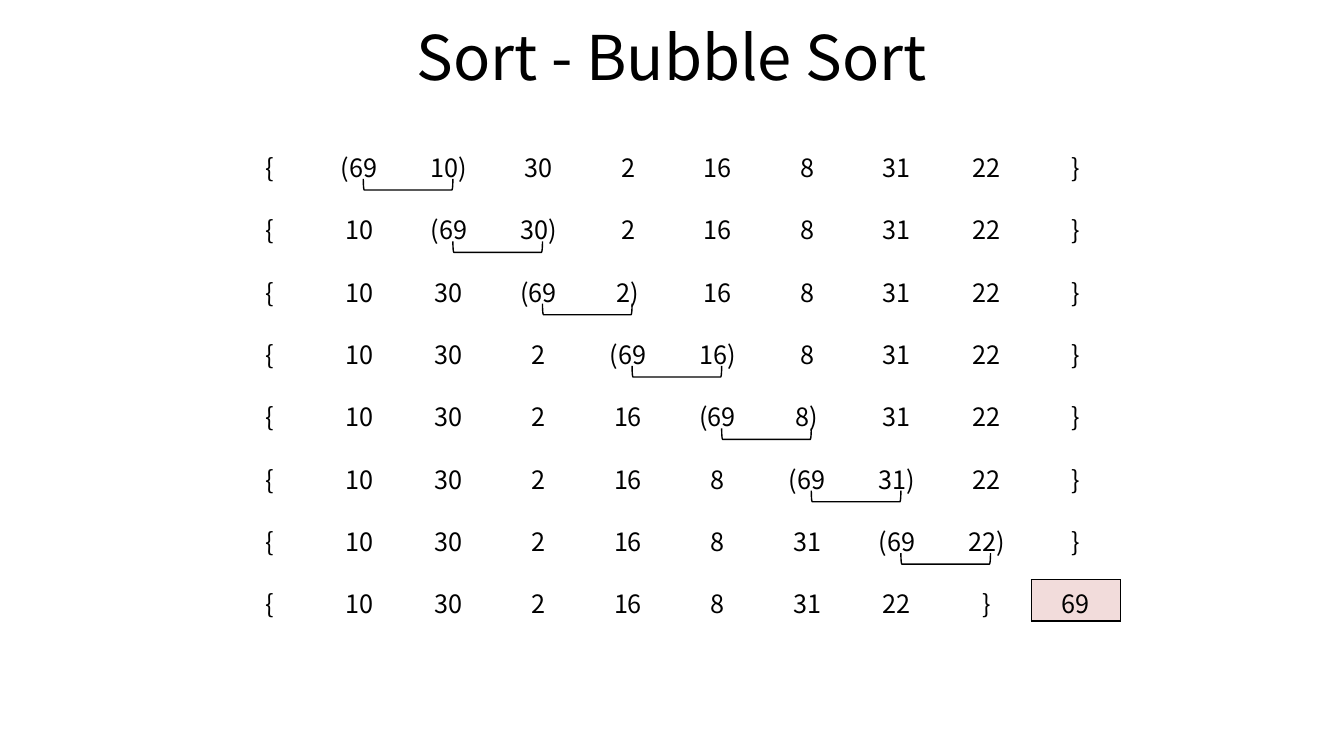
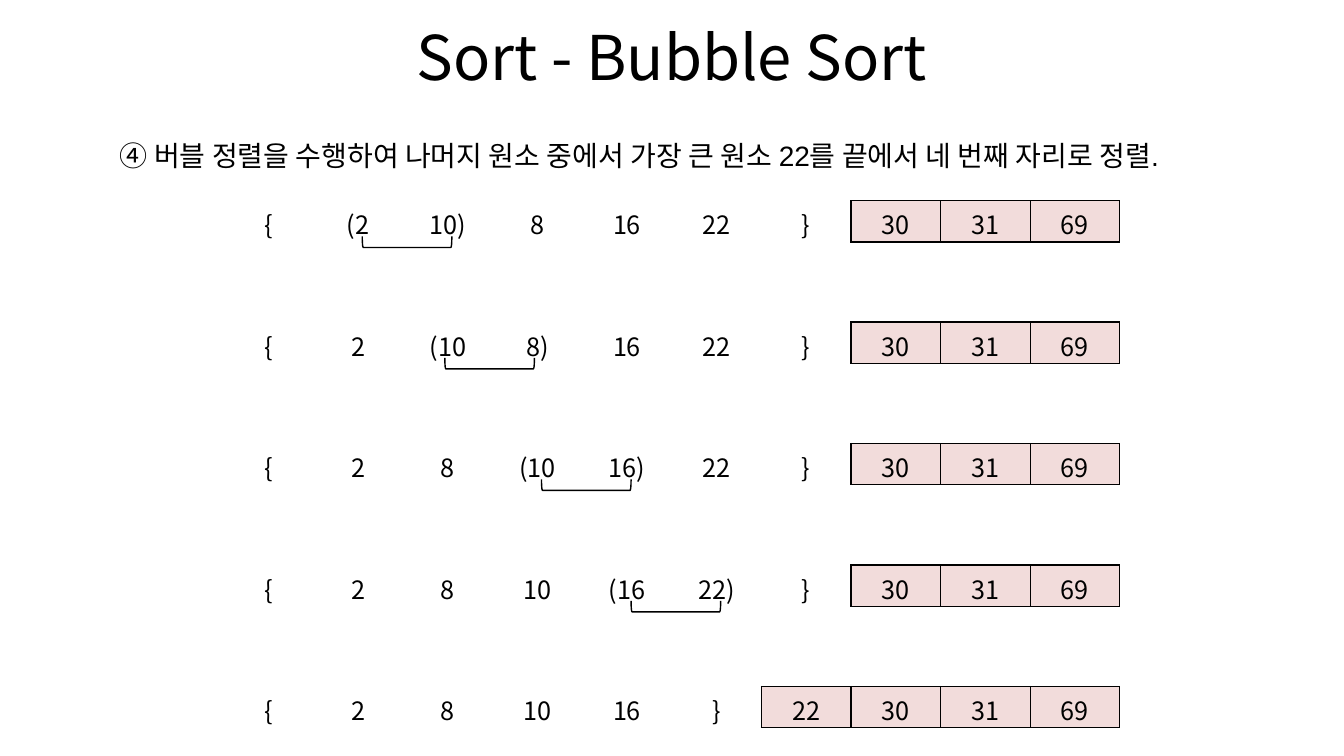
import pptx
import pptx.dml.color
import pptx.enum.shapes
import pptx.enum.text
import pptx.oxml
import pptx.oxml.ns
import pptx.util

Inches = pptx.util.Inches
Pt = pptx.util.Pt
ALIGN = pptx.enum.text.PP_ALIGN
ANCHOR = pptx.enum.text.MSO_ANCHOR

BLACK = pptx.dml.color.RGBColor(0x00, 0x00, 0x00)
WHITE = pptx.dml.color.RGBColor(0xFF, 0xFF, 0xFF)
PINK = pptx.dml.color.RGBColor(0xF2, 0xDC, 0xDB)
SANS = "Noto Sans CJK KR"
LATIN = "Arial"

WIDTH, HEIGHT = 13.33, 7.5
COLS = 10
TABLE = WIDTH * 2 / 3
COL = TABLE / COLS
ROW = 0.41
HOOK = 0.11  # depth of a bracket
SHIFT = 0.04  # bracket centre, right of the column edge


def write(para, text, size, font=SANS):
    run = para.add_run()
    run.text = text
    run.font.size = Pt(size)
    run.font.name = font
    run.font.color.rgb = BLACK
    face = pptx.oxml.parse_xml(
        f'<a:ea {pptx.oxml.ns.nsdecls("a")} typeface="{SANS}"/>')
    run.font._element.append(face)


def add_text(slide, left, top, width, height):
    """Add an empty wrapping text box and return its frame."""
    frame = slide.shapes.add_textbox(
        Inches(left), Inches(top), Inches(width), Inches(height)).text_frame
    frame.word_wrap = True
    return frame


def add_title(slide, text):
    frame = add_text(slide, WIDTH * 0.05, 0.13, WIDTH * 0.9, 0.85)
    frame.vertical_anchor = ANCHOR.MIDDLE
    frame.paragraphs[0].alignment = ALIGN.CENTER
    write(frame.paragraphs[0], text, 44)


def add_note(slide, text):
    para = add_text(slide, 0.4, 1.33, 12.39, 0.44).paragraphs[0]
    props = para._p.get_or_add_pPr()
    props.set("marL", str(Inches(0.99)))
    props.set("indent", str(Inches(-0.3)))
    write(para, text, 20, LATIN)


def add_edges(cell, sides):
    """Draw black borders on the named sides, before any fill is set."""
    for side in sides:
        cell._tc.get_or_add_tcPr().append(pptx.oxml.parse_xml(
            f'<a:ln{side} {pptx.oxml.ns.nsdecls("a")} w="{Pt(1)}">'
            f'<a:solidFill><a:srgbClr val="{BLACK}"/></a:solidFill>'
            f'</a:ln{side}>'))


def add_row(slide, left, top, labels, done):
    """Add one state of the list; the last `done` cells are sorted."""
    table = slide.shapes.add_table(
        1, COLS, Inches(left), Inches(top), Inches(TABLE), Inches(ROW)).table
    table.first_row = table.horz_banding = False
    first = COLS - done
    for i, label in enumerate(labels):
        cell = table.cell(0, i)
        if i >= first:
            add_edges(cell, "LRTB")
        elif done and i == first - 1:
            add_edges(cell, "R")
        cell.fill.solid()
        cell.fill.fore_color.rgb = PINK if i >= first else WHITE
        cell.vertical_anchor = ANCHOR.MIDDLE
        para = cell.text_frame.paragraphs[0]
        para.alignment = ALIGN.CENTER
        write(para, label, 18)


def add_hook(slide, mid, base):
    """Join two neighbours with a bracket centred on (mid, base)."""
    hook = slide.shapes.add_shape(
        pptx.enum.shapes.MSO_SHAPE.LEFT_BRACKET,
        Inches(mid - HOOK / 2), Inches(base - COL / 2),
        Inches(HOOK), Inches(COL))
    hook.rotation = 270
    hook.shadow.inherit = False
    hook.fill.background()
    hook.line.color.rgb = BLACK
    hook.line.width = Pt(1)


def add_pass(slide, left, top, last, values, done=(), nudge=None):
    """Show each comparison of one bubble pass, then its result.

    nudge maps a step to the extra shift of its bracket.
    """
    nums, tail = list(values), [str(n) for n in done]
    steps = len(nums) - 1
    gap = (last - top) / steps
    for i in range(steps):
        row = top + i * gap
        labels = [str(n) for n in nums]
        labels[i] = "(" + labels[i]
        labels[i + 1] += ")"
        add_row(slide, left, row, ["{", *labels, "}", *tail], len(tail))
        mid = left + (i + 2) * COL + SHIFT + (nudge or {}).get(i, 0)
        add_hook(slide, mid, row + ROW)
        nums[i:i + 2] = sorted(nums[i:i + 2])
    *rest, top_num = [str(n) for n in nums]
    add_row(slide, left, last, ["{", *rest, "}", top_num, *tail],
            len(tail) + 1)


def add_slide(deck):
    slide = deck.slides.add_slide(deck.slide_layouts[6])
    add_title(slide, "Sort - Bubble Sort")
    return slide


def main():
    deck = pptx.Presentation()
    deck.slide_width = Inches(WIDTH)
    deck.slide_height = Inches(HEIGHT)

    slide = add_slide(deck)
    add_pass(slide, 2.23, 1.42, 5.75, [69, 10, 30, 2, 16, 8, 31, 22])

    slide = add_slide(deck)
    add_note(slide, "④ 버블 정렬을 수행하여 나머지 원소 중에서 가장 큰 원소 "
                    "22를 끝에서 네 번째 자리로 정렬.")
    add_pass(slide, 2.22, 1.99, 6.81, [2, 10, 8, 16, 22], [30, 31, 69],
             nudge={1: -0.07})

    deck.save("out.pptx")


if __name__ == "__main__":
    main()
